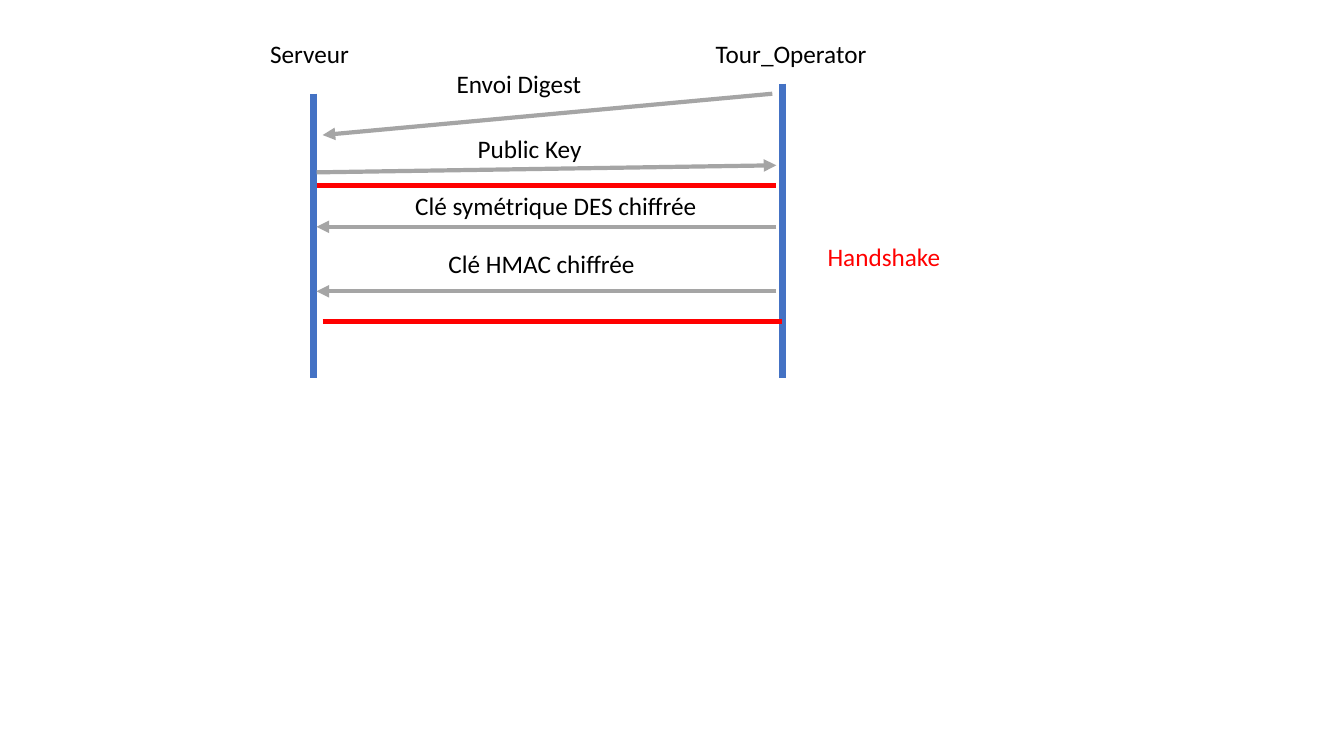
from pptx import Presentation
from pptx.dml.color import RGBColor
from pptx.enum import shapes, text
from pptx.oxml.ns import qn
from pptx.util import Pt
from lxml import etree

PX = 9144  # EMU per px, 100 px to the inch
BLUE = RGBColor(0x44, 0x72, 0xC4)
GREY = RGBColor(0xA5, 0xA5, 0xA5)
RED = RGBColor(0xFF, 0x00, 0x00)
BLACK = RGBColor(0x00, 0x00, 0x00)

# Content
SERVER_X, OPERATOR_X, BOTTOM = 311, 776, 375
LEFT, RIGHT = 314, 770  # inner ends of the messages
LABEL_H = 40

LIFELINES = [(SERVER_X, 93), (OPERATOR_X, 83)]  # x, top
MESSAGES = [  # start x, start y, end x, end y
    (766, 93, 320, 134),
    (LEFT, 171, RIGHT, 164),
    (RIGHT, 225, LEFT, 225),
    (RIGHT, 289, LEFT, 289),
]
HANDSHAKE_LIMITS = [(LEFT, RIGHT, 184), (320, OPERATOR_X, 319)]  # from x, to x, y
LABELS = [  # text, left, top, width, colour, wrap
    ("Serveur", 258, 33, 185, BLACK, True),
    ("Tour_Operator", 700, 33, 171, BLACK, False),
    ("Envoi Digest", 443, 63, 145, BLACK, False),
    ("Public Key", 464, 127, 124, BLACK, False),
    ("Clé symétrique DES chiffrée", 402, 184, 303, BLACK, False),
    ("Clé HMAC chiffrée", 435, 241, 213, BLACK, False),
    ("Handshake", 811, 234, 133, RED, False),
]
FONT = {"name": "Calibri", "size": Pt(18)}

prs = Presentation()
prs.slide_width, prs.slide_height = 1333 * PX, 750 * PX
s = prs.slides.add_slide(prs.slide_layouts[6])


def add_line(x1, y1, x2, y2, color, width=3, arrow=False):
    ends = [v * PX for v in (x1, y1, x2, y2)]
    sp = s.shapes.add_connector(shapes.MSO_CONNECTOR.STRAIGHT, *ends)
    sp.line.color.rgb = color
    sp.line.width = Pt(width)
    if arrow:
        etree.SubElement(sp.line._get_or_add_ln(), qn("a:tailEnd"), type="triangle")
    etree.SubElement(sp._element.spPr, qn("a:effectLst"))


def add_label(words, left, top, width, color, wrap):
    sp = s.shapes.add_textbox(left * PX, top * PX, width * PX, LABEL_H * PX)
    tf = sp.text_frame
    tf.word_wrap = wrap
    tf.auto_size = text.MSO_AUTO_SIZE.SHAPE_TO_FIT_TEXT
    r = tf.paragraphs[0].add_run()
    r.text = words
    for name, value in FONT.items():
        setattr(r.font, name, value)
    r.font.color.rgb = color


# Lifelines of the two parties
for x, top in LIFELINES:
    add_line(x, top, x, BOTTOM, BLUE, width=4.5)

# Messages exchanged
for message in MESSAGES:
    add_line(*message, GREY, arrow=True)

# Start and end of the handshake
for x1, x2, y in HANDSHAKE_LIMITS:
    add_line(x1, y, x2, y, RED)

# Labels
for label in LABELS:
    add_label(*label)

prs.save("out.pptx")
